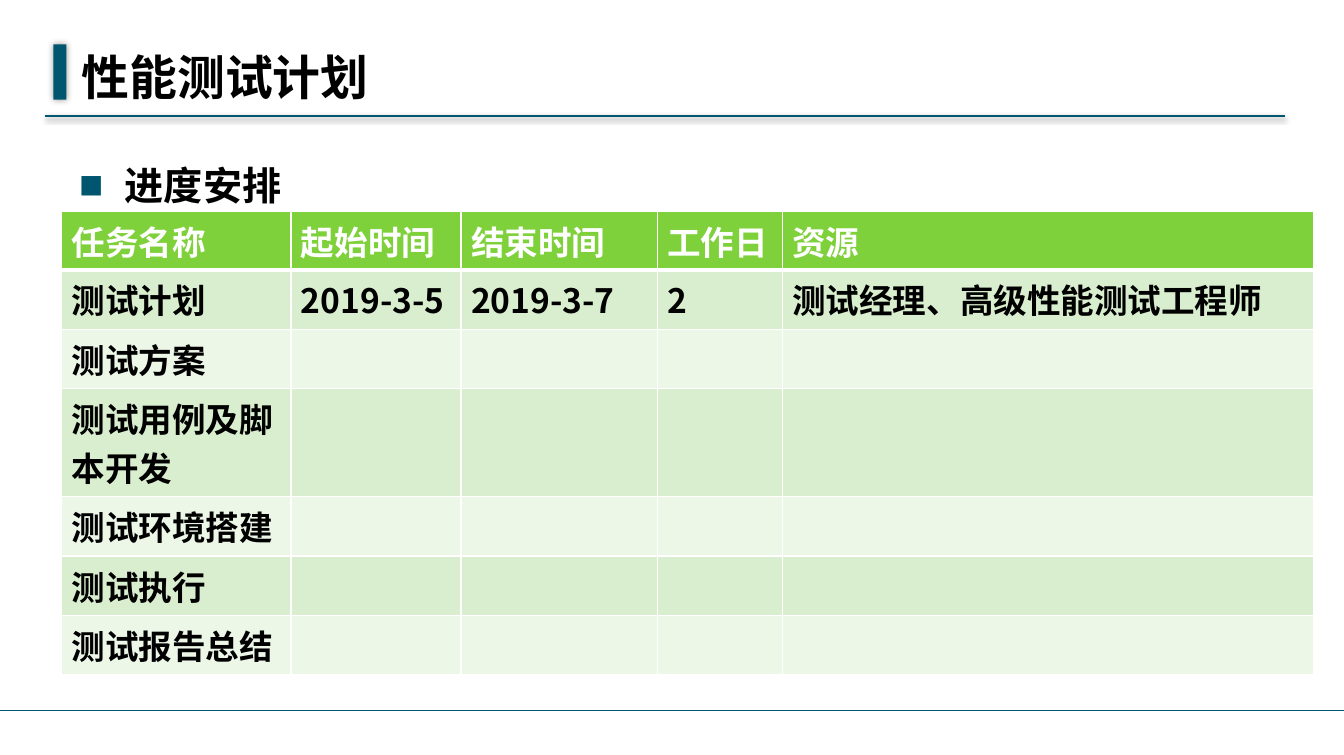
from lxml.etree import SubElement
from pptx import Presentation
from pptx.dml.color import RGBColor
from pptx.enum.shapes import MSO_CONNECTOR, MSO_SHAPE
from pptx.enum.text import MSO_ANCHOR
from pptx.oxml.ns import qn
from pptx.util import Inches, Pt

COLUMNS, ROWS = 267, 150  # square grid units
TEAL, BLACK, WHITE = "00566E", "000000", "FFFFFF"
HEADER, BAND_DARK, BAND_LIGHT = "7FD13B", "D8EECE", "ECF7E8"
CJK = "Noto Sans CJK SC"


def color(hex_value):
    return RGBColor.from_string(hex_value)


def child(parent, tag, **attributes):
    return SubElement(parent, qn(tag), {k: str(v) for k, v in attributes.items()})


def write(frame, text, size=24, fill=BLACK, font=CJK, spacing=None, bullet=None):
    paragraph = frame.paragraphs[0]
    if bullet:
        p_pr = paragraph._p.get_or_add_pPr()
        p_pr.set("marL", str(Inches(0.45)))
        p_pr.set("indent", str(-Inches(0.45)))
        child(child(p_pr, "a:buClr"), "a:srgbClr", val=TEAL)
        child(p_pr, "a:buSzPct", val=62000)
        child(p_pr, "a:buFont", typeface=CJK)
        child(p_pr, "a:buChar", char=bullet)
    if spacing:
        paragraph.line_spacing = spacing
    run = paragraph.add_run()
    run.text = text
    run.font.size, run.font.bold, run.font.name = Pt(size), True, font
    run.font.color.rgb = color(fill)
    child(run._r.get_or_add_rPr(), "a:ea", typeface=CJK)


class SlideBuilder:
    def __init__(self, deck):
        self.slide = deck.slides.add_slide(deck.slide_layouts[6])
        self.col = deck.slide_width / COLUMNS
        self.row = deck.slide_height / ROWS

    def place(self, x, y, w, h):
        return [round(v) for v in (x * self.col, y * self.row, w * self.col, h * self.row)]

    def shadow(self, effects, blur, distance, opacity):
        outer = child(effects, "a:outerShdw", blurRad=Pt(blur), dist=Pt(distance),
                      dir=5400000, algn="ctr", rotWithShape=0)
        child(child(outer, "a:srgbClr", val=BLACK), "a:alpha", val=opacity * 1000)

    def line(self, x, y, length, weight=1, shadow=None):
        left, top, width, _ = self.place(x, y, length, 0)
        rule = self.slide.shapes.add_connector(MSO_CONNECTOR.STRAIGHT, left, top, left + width, top)
        rule.line.color.rgb, rule.line.width = color(TEAL), Pt(weight)
        effects = child(rule._element.spPr, "a:effectLst")
        if shadow:
            self.shadow(effects, *shadow)

    def bar(self, *box, shadow):
        bar = self.slide.shapes.add_shape(MSO_SHAPE.RECTANGLE, *self.place(*box))
        bar.fill.solid()
        bar.fill.fore_color.rgb = color(TEAL)
        bar.line.fill.background()
        bar.shadow.inherit = False
        self.shadow(bar._element.spPr.find(qn("a:effectLst")), *shadow)

    def text(self, text, *box, anchor=MSO_ANCHOR.TOP, **style):
        frame = self.slide.shapes.add_textbox(*self.place(*box)).text_frame
        frame.word_wrap, frame.vertical_anchor = True, anchor
        frame.margin_left = frame.margin_right = Inches(0.12)
        frame.margin_top = frame.margin_bottom = Inches(0.06)
        write(frame, text, **style)

    def cell(self, cell, text, fill, ink, top=1, bottom=1):
        tc_pr = cell._tc.get_or_add_tcPr()
        for side, width in (("L", 1), ("R", 1), ("T", top), ("B", bottom)):
            border = child(tc_pr, "a:ln" + side, w=Pt(width))
            child(child(border, "a:solidFill"), "a:srgbClr", val=WHITE)
        cell.fill.solid()
        cell.fill.fore_color.rgb = color(fill)
        if text:
            write(cell.text_frame, text, fill=ink)

    def table(self, x, y, widths, heights, records):
        box = self.place(x, y, sum(widths), sum(heights))
        table = self.slide.shapes.add_table(len(heights), len(widths), *box).table
        table.first_row = table.horz_banding = False
        for column, width in zip(table.columns, widths):
            column.width = round(width * self.col)
        for r, (height, record) in enumerate(zip(heights, records)):
            table.rows[r].height = round(height * self.row)
            fill = HEADER if r == 0 else BAND_DARK if r % 2 else BAND_LIGHT
            for c in range(len(widths)):
                self.cell(table.cell(r, c), record[c] if c < len(record) else "", fill,
                          BLACK if r else WHITE, top=3 if r == 1 else 1, bottom=1 if r else 3)


def main():
    deck = Presentation()
    deck.slide_width, deck.slide_height = Inches(13.35), Inches(7.5)
    plan = SlideBuilder(deck)

    # Title band and footer rule
    plan.line(9, 23.1, 246.2, weight=1.25, shadow=(4, 1.6, 42))
    plan.bar(10.6, 8.8, 2.6, 11, shadow=(5, 0, 40))
    for start in (169.6, 0, 76.4):
        plan.line(start, 141.2, 97.4)
    plan.text("性能测试计划", 13.8, 8.8, 181, 12.6, anchor=MSO_ANCHOR.MIDDLE, size=34.2)

    # Section heading
    plan.text("进度安排", 13.4, 26.2, 240.2, 110.2, size=28,
              font="Times New Roman", spacing=1.5, bullet="■")

    # Schedule, with a taller row for the two-line task
    schedule = [
        ["任务名称", "起始时间", "结束时间", "工作日", "资源"],
        ["测试计划", "2019-3-5", "2019-3-7", "2", "测试经理、高级性能测试工程师"],
        ["测试方案"],
        ["测试用例及脚本开发"],
        ["测试环境搭建"],
        ["测试执行"],
        ["测试报告总结"],
    ]
    single, double = 11.8, 21.5
    heights = [11.6, single, single, double, single, single, single]
    plan.table(12.2, 42, [45.6, 33.8, 39, 24.8, 105.6], heights, schedule)

    deck.save("out.pptx")


if __name__ == "__main__":
    main()
